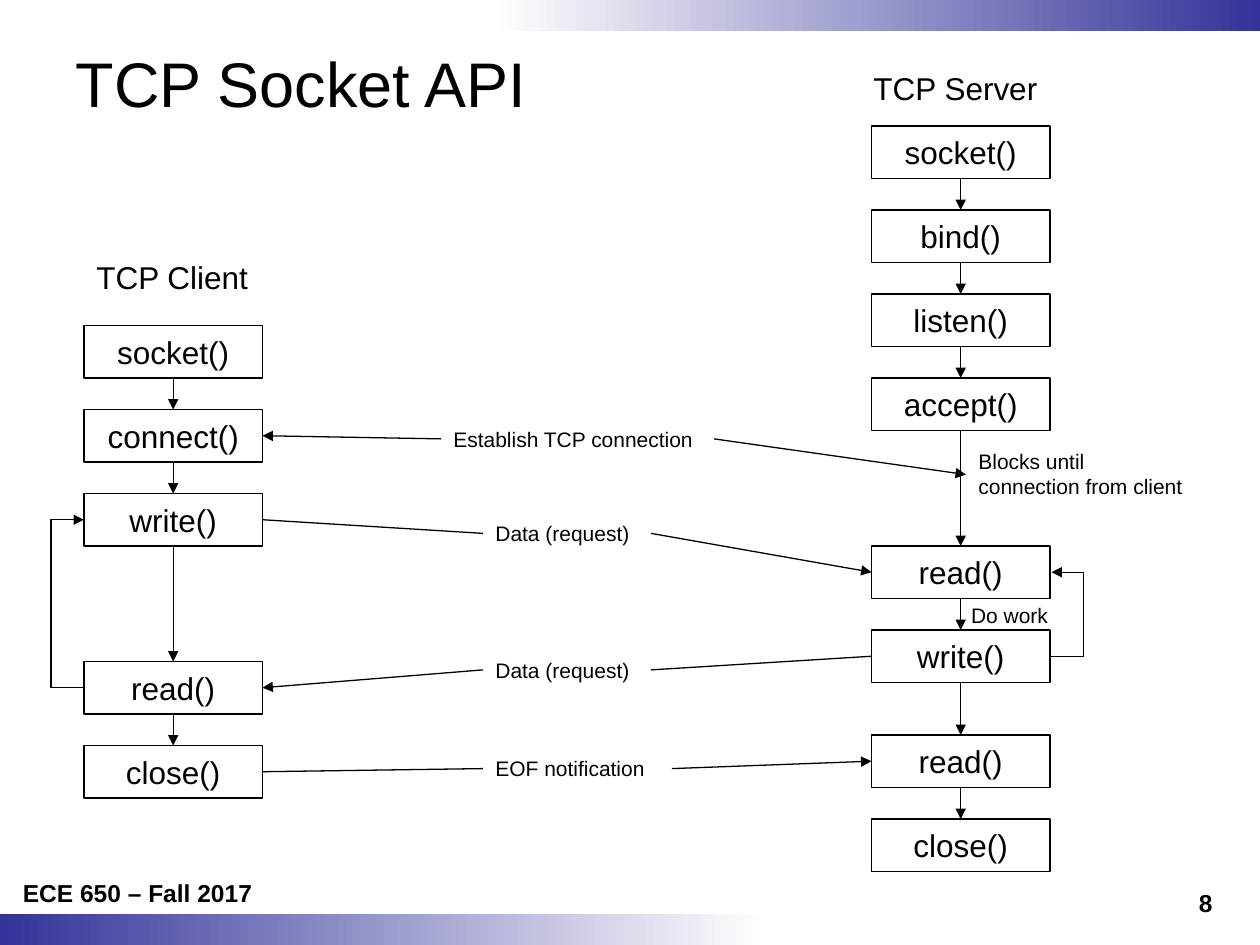
from itertools import pairwise

from lxml.etree import SubElement
from pptx import Presentation
from pptx.dml.color import RGBColor
from pptx.enum.shapes import MSO_CONNECTOR as CONN, MSO_SHAPE as SHAPE
from pptx.enum.text import MSO_ANCHOR as ANCHOR, MSO_AUTO_SIZE as AUTO, PP_ALIGN as ALIGN
from pptx.oxml.ns import qn
from pptx.util import Cm, Pt

BLACK = RGBColor(0x00, 0x00, 0x00)
WHITE = RGBColor(0xFF, 0xFF, 0xFF)
BLUE = RGBColor(0x33, 0x33, 0x99)

GRID = 2.54 / 12  # the slide is 120 x 90 grid units
BOX_W, BOX_H = 17, 5
CLIENT_X, SERVER_X = 8, 83
TOP, LEFT, BOTTOM, RIGHT = range(4)

CLIENT = [("socket()", 31), ("connect()", 39), ("write()", 47), ("read()", 63), ("close()", 71)]
SERVER = [("socket()", 12), ("bind()", 20), ("listen()", 28), ("accept()", 36),
          ("read()", 52), ("write()", 60), ("read()", 70), ("close()", 78)]


def grid(*units):
    return [Cm(u * GRID) for u in units]


class Diagram:
    font = "Arial"
    line_width = Pt(0.75)

    def __init__(self, slide):
        self.slide = slide
        self.shapes = slide.shapes

    def set_text(self, sp, text, size, bold=False, align=ALIGN.LEFT):
        tf = sp.text_frame
        tf.text = text
        p = tf.paragraphs[0]
        p.alignment = align
        font = p.runs[0].font
        font.name, font.size, font.bold = self.font, Pt(size), bold
        font.color.rgb = BLACK
        return tf

    def title(self, text, x, y, w, h):
        sp = self.shapes.title
        sp.left, sp.top, sp.width, sp.height = grid(x, y, w, h)
        tf = self.set_text(sp, text, 36)
        tf.auto_size = AUTO.NONE
        tf.vertical_anchor = ANCHOR.MIDDLE

    def band(self, x, y, w, h, start, end):
        sp = self.shapes.add_shape(SHAPE.RECTANGLE, *grid(x, y, w, h))
        sp.shadow.inherit = False
        sp.line.fill.background()
        sp.fill.gradient()
        sp.fill.gradient_angle = 0
        for stop, color in zip(sp.fill.gradient_stops, (start, end)):
            stop.color.rgb = color

    def label(self, text, x, y, w, h=3.6, size=12, bold=False):
        sp = self.shapes.add_textbox(*grid(x, y, w, h))
        self.set_text(sp, text, size, bold).word_wrap = True
        return sp

    def box(self, text, x, y):
        sp = self.shapes.add_shape(SHAPE.RECTANGLE, *grid(x, y, BOX_W, BOX_H))
        sp.shadow.inherit = False
        sp.fill.solid()
        sp.fill.fore_color.rgb = WHITE
        color = sp._element.spPr.find(qn("a:solidFill"))[0]
        SubElement(color, qn("a:alpha"), val="52000")
        sp.line.color.rgb = BLACK
        sp.line.width = self.line_width
        tf = self.set_text(sp, text, 18, align=ALIGN.CENTER)
        tf.vertical_anchor = ANCHOR.MIDDLE
        tf.word_wrap = False
        return sp

    def connector(self, kind, start=(0, 0), end=(0, 0), arrow=True):
        c = self.shapes.add_connector(kind, *grid(*start, *end))
        c.line.color.rgb = BLACK
        c.line.width = self.line_width
        sp_pr = c._element.spPr
        if arrow:
            SubElement(sp_pr.find(qn("a:ln")), qn("a:tailEnd"), type="triangle")
        SubElement(sp_pr, qn("a:effectLst"))
        return c

    def join(self, a, a_side, b, b_side, arrow=True):
        c = self.connector(CONN.STRAIGHT, arrow=arrow)
        c.begin_connect(a, a_side)
        c.end_connect(b, b_side)

    def loop(self, start, end, bend_x):
        """Elbow from start to end that swings out to bend_x."""
        c = self.connector(CONN.ELBOW, start, end)
        ratio = (bend_x - start[0]) / (end[0] - start[0])
        geom = c._element.spPr.find(qn("a:prstGeom"))
        av = geom.find(qn("a:avLst"))
        if av is None:
            av = SubElement(geom, qn("a:avLst"))
        SubElement(av, qn("a:gd"), name="adj1", fmla=f"val {round(ratio * 100000)}")

    def column(self, calls, x):
        """Stack of boxes, each joined to the next."""
        boxes = [self.box(text, x, y) for text, y in calls]
        for upper, lower in pairwise(boxes):
            self.join(upper, BOTTOM, lower, TOP)
        return boxes


def main():
    prs = Presentation()
    prs.slide_width, prs.slide_height = grid(120, 90)
    d = Diagram(prs.slides.add_slide(prs.slide_layouts[5]))

    d.band(47, 0, 73, 3, WHITE, BLUE)
    d.band(0, 87, 73, 3, BLUE, WHITE)
    d.label("ECE 650 – Fall 2017", 1, 83, 31, 4, size=14, bold=True)
    d.label("8", 113, 84, 7, 4, size=14, bold=True)
    d.title("TCP Socket API", 6, 3.6, 108, 8.4)

    _, connect, c_write, c_read, c_close = d.column(CLIENT, CLIENT_X)
    *_, s_read, s_write, s_eof, _ = d.column(SERVER, SERVER_X)
    d.loop((8.15, 65.5), (8, 49.5), 4.9)
    d.loop((100, 62.5), (100.15, 54.5), 103.2)

    d.label("TCP Client", 8, 24, 17, 4.8, size=18)
    d.label("TCP Server", 82, 6, 20, 4.8, size=18)
    d.label("Blocks until connection from client", 92, 42.1, 22, 6)
    d.label("Do work", 91.3, 56.8, 10)

    establish = d.label("Establish TCP connection", 42, 40, 26)
    request = d.label("Data (request)", 46, 49, 16)
    reply = d.label("Data (request)", 46, 62, 16)
    eof = d.label("EOF notification", 46, 71.4, 18)

    d.join(establish, LEFT, connect, RIGHT)
    to_server = d.connector(CONN.STRAIGHT, (68, 41.8), (92, 45.2))
    to_server.begin_connect(establish, RIGHT)
    for call, label, target in ((c_write, request, s_read), (c_close, eof, s_eof)):
        d.join(call, RIGHT, label, LEFT, arrow=False)
        d.join(label, RIGHT, target, LEFT)
    d.join(s_write, LEFT, reply, RIGHT, arrow=False)
    d.join(reply, LEFT, c_read, RIGHT)

    prs.save("out.pptx")


if __name__ == "__main__":
    main()
